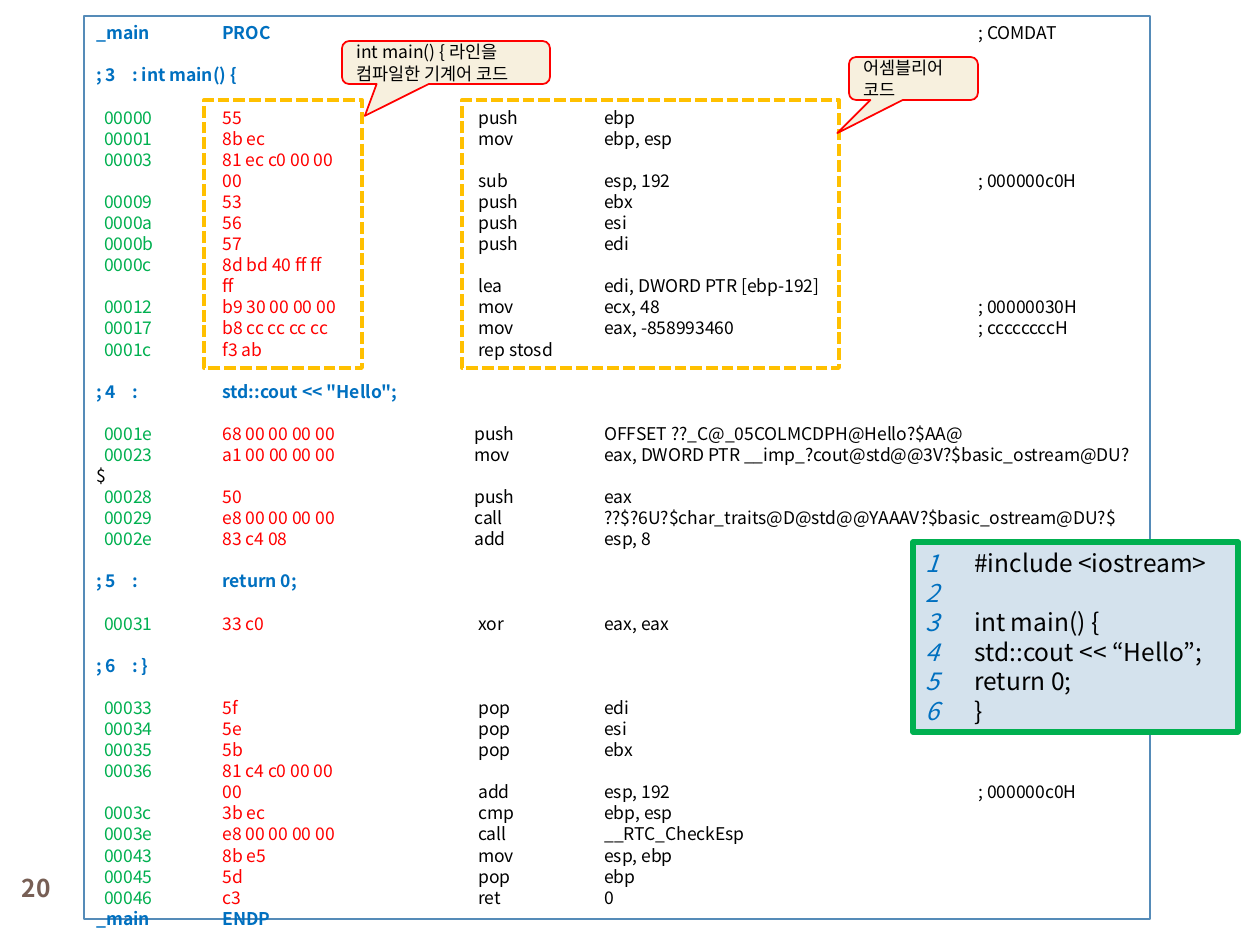
"""Build a slide that explains the assembly listing of a small C++ program."""
from dataclasses import dataclass
from typing import Optional

from lxml import etree
from pptx import Presentation
from pptx.dml.color import RGBColor
from pptx.enum.dml import MSO_LINE
from pptx.enum.shapes import MSO_SHAPE
from pptx.enum.text import MSO_ANCHOR, PP_ALIGN
from pptx.oxml.ns import qn
from pptx.util import Pt

PX = 914400 / 126
FONT = "Noto Sans CJK KR"
LINE_RATIO = 1.204
RECT = MSO_SHAPE.RECTANGLE
CALLOUT = MSO_SHAPE.ROUNDED_RECTANGULAR_CALLOUT
DASH = MSO_LINE.SQUARE_DOT
TOP = MSO_ANCHOR.TOP
MIDDLE = MSO_ANCHOR.MIDDLE
LEFT = PP_ALIGN.LEFT
CENTER = PP_ALIGN.CENTER

BLACK = RGBColor(0x00, 0x00, 0x00)
WHITE = RGBColor(0xFF, 0xFF, 0xFF)
BLUE = RGBColor(0x00, 0x70, 0xC0)
GREEN = RGBColor(0x00, 0xB0, 0x50)
RED = RGBColor(0xFF, 0x00, 0x00)
GOLD = RGBColor(0xFF, 0xC0, 0x00)
CREAM = RGBColor(0xF7, 0xF0, 0xDE)
PALE_BLUE = RGBColor(0xD4, 0xE2, 0xED)
FRAME_BLUE = RGBColor(0x55, 0x8B, 0xB8)
BROWN = RGBColor(0x77, 0x5F, 0x55)


@dataclass(frozen=True)
class Box:
    left: int
    top: int
    width: int
    height: int

    def emu(self) -> list[int]:
        return [round(v * PX) for v in (self.left, self.top, self.width, self.height)]


@dataclass(frozen=True)
class Run:
    text: str
    color: RGBColor = BLACK
    bold: bool = False
    italic: bool = False


@dataclass(frozen=True)
class Heading:
    text: str
    comment: str = ""

    def runs(self) -> list[Run]:
        return [Run(self.text, BLUE, bold=True), Run(self.comment)]


@dataclass(frozen=True)
class Code:
    address: str
    machine: str
    assembly: str = ""

    def runs(self) -> list[Run]:
        address = f"  {self.address}\t" if self.address else "\t"
        assembly = f"\t\t{self.assembly}" if self.assembly else ""
        return [Run(address, GREEN), Run(self.machine, RED), Run(assembly)]


@dataclass(frozen=True)
class Callout:
    box: Box
    text: str
    tail: tuple[float, float]


BLANK = Heading("")
LISTING = [
    Heading("_main\tPROC", "\t\t\t\t\t\t; COMDAT"),
    BLANK,
    Heading("; 3    : int main() {"),
    BLANK,
    Code("00000", "55", " push\t ebp"),
    Code("00001", "8b ec", " mov\t ebp, esp"),
    Code("00003", "81 ec c0 00 00"),
    Code("", "00", " sub\t esp, 192\t\t\t; 000000c0H"),
    Code("00009", "53", " push\t ebx"),
    Code("0000a", "56", " push\t esi"),
    Code("0000b", "57", " push\t edi"),
    Code("0000c", "8d bd 40 ff ff"),
    Code("", "ff", " lea\t edi, DWORD PTR [ebp-192]"),
    Code("00012", "b9 30 00 00 00", " mov\t ecx, 48\t\t\t; 00000030H"),
    Code("00017", "b8 cc cc cc cc", " mov\t eax, -858993460\t\t; ccccccccH"),
    Code("0001c", "f3 ab", " rep stosd"),
    BLANK,
    Heading('; 4    : \tstd::cout << "Hello";'),
    BLANK,
    Code("0001e", "68 00 00 00 00", "push\t OFFSET ??_C@_05COLMCDPH@Hello?$AA@"),
    Code("00023", "a1 00 00 00 00",
         "mov\t eax, DWORD PTR __imp_?cout@std@@3V?$basic_ostream@DU?$"),
    Code("00028", "50", "push\t eax"),
    Code("00029", "e8 00 00 00 00",
         "call\t ??$?6U?$char_traits@D@std@@YAAAV?$basic_ostream@DU?$"),
    Code("0002e", "83 c4 08", "add\t esp, 8"),
    BLANK,
    Heading("; 5    : \treturn 0;"),
    BLANK,
    Code("00031", "33 c0", " xor\t eax, eax"),
    BLANK,
    Heading("; 6    : }"),
    BLANK,
    Code("00033", "5f", " pop\t edi"),
    Code("00034", "5e", " pop\t esi"),
    Code("00035", "5b", " pop\t ebx"),
    Code("00036", "81 c4 c0 00 00"),
    Code("", "00", " add\t esp, 192\t\t\t; 000000c0H"),
    Code("0003c", "3b ec", " cmp\t ebp, esp"),
    Code("0003e", "e8 00 00 00 00", " call\t __RTC_CheckEsp"),
    Code("00043", "8b e5", " mov\t esp, ebp"),
    Code("00045", "5d", " pop\t ebp"),
    Code("00046", "c3", " ret\t 0"),
    Heading("_main\tENDP"),
]
LISTING_TABS = [126 * n for n in range(1, 9)]
HIGHLIGHTS = [Box(204, 100, 158, 268), Box(462, 100, 377, 268)]
CALLOUTS = [
    Callout(Box(849, 57, 129, 43), "어셈블리어 코드", (-0.59, 1.27)),
    Callout(Box(342, 41, 208, 43), "int main() { 라인을 컴파일한 기계어 코드", (-0.39, 1.24)),
]
SOURCE = ["#include <iostream>", "", "int main() {", "std::cout << “Hello”;", "return 0;", "}"]
SOURCE_TABS = [38, 49]


def add_box(slide, kind, box: Box, fill: Optional[RGBColor], line: RGBColor, width: float):
    s = slide.shapes.add_shape(kind, *box.emu())
    s.shadow.inherit = False
    if fill is None:
        s.fill.background()
    else:
        s.fill.solid()
        s.fill.fore_color.rgb = fill
    s.line.color.rgb = line
    s.line.width = Pt(width)
    return s


def write(s, lines: list[list[Run]], size: int, anchor=TOP, align=LEFT) -> None:
    tf = s.text_frame
    tf.word_wrap = True
    tf.vertical_anchor = anchor
    for i, runs in enumerate(lines):
        p = tf.paragraphs[0] if i == 0 else tf.add_paragraph()
        p.alignment = align
        p.line_spacing = Pt(round(size * LINE_RATIO, 2))
        p.font.size = Pt(size)
        for run in filter(lambda item: item.text, runs):
            r = p.add_run()
            r.text = run.text
            r.font.name = FONT
            r.font.size = Pt(size)
            r.font.bold = run.bold
            r.font.italic = run.italic
            r.font.color.rgb = run.color
            etree.SubElement(r.font._element, qn("a:ea"), typeface=FONT)


def set_tabs(s, stops: list[int]) -> None:
    for p in s.text_frame.paragraphs:
        tabs = etree.Element(qn("a:tabLst"))
        for stop in stops:
            etree.SubElement(tabs, qn("a:tab"), pos=str(round(stop * PX)), algn="l")
        pPr = p._p.get_or_add_pPr()
        pPr.find(qn("a:defRPr")).addprevious(tabs)


def main() -> None:
    prs = Presentation()
    prs.slide_width, prs.slide_height = round(1260 * PX), round(945 * PX)
    slide = prs.slides.add_slide(prs.slide_layouts[6])

    number = slide.shapes.add_textbox(*Box(0, 861, 73, 53).emu())
    write(number, [[Run("20", BROWN, bold=True)]], 14, MIDDLE, CENTER)

    listing = add_box(slide, RECT, Box(84, 16, 1066, 903), WHITE, FRAME_BLUE, 0.75)
    write(listing, [line.runs() for line in LISTING], 10)
    set_tabs(listing, LISTING_TABS)
    for box in HIGHLIGHTS:
        add_box(slide, RECT, box, None, GOLD, 2.25).line.dash_style = DASH
    for callout in CALLOUTS:
        s = add_box(slide, CALLOUT, callout.box, CREAM, RED, 1)
        s.adjustments[0], s.adjustments[1] = callout.tail
        write(s, [[Run(callout.text)]], 10, MIDDLE)

    source = add_box(slide, RECT, Box(913, 542, 325, 190), PALE_BLUE, GREEN, 3)
    write(source, [[Run(str(n), BLUE, italic=True), Run(f"\t\t{text}" if text else "")]
                   for n, text in enumerate(SOURCE, 1)], 14)
    set_tabs(source, SOURCE_TABS)
    prs.save("out.pptx")


if __name__ == "__main__":
    main()
